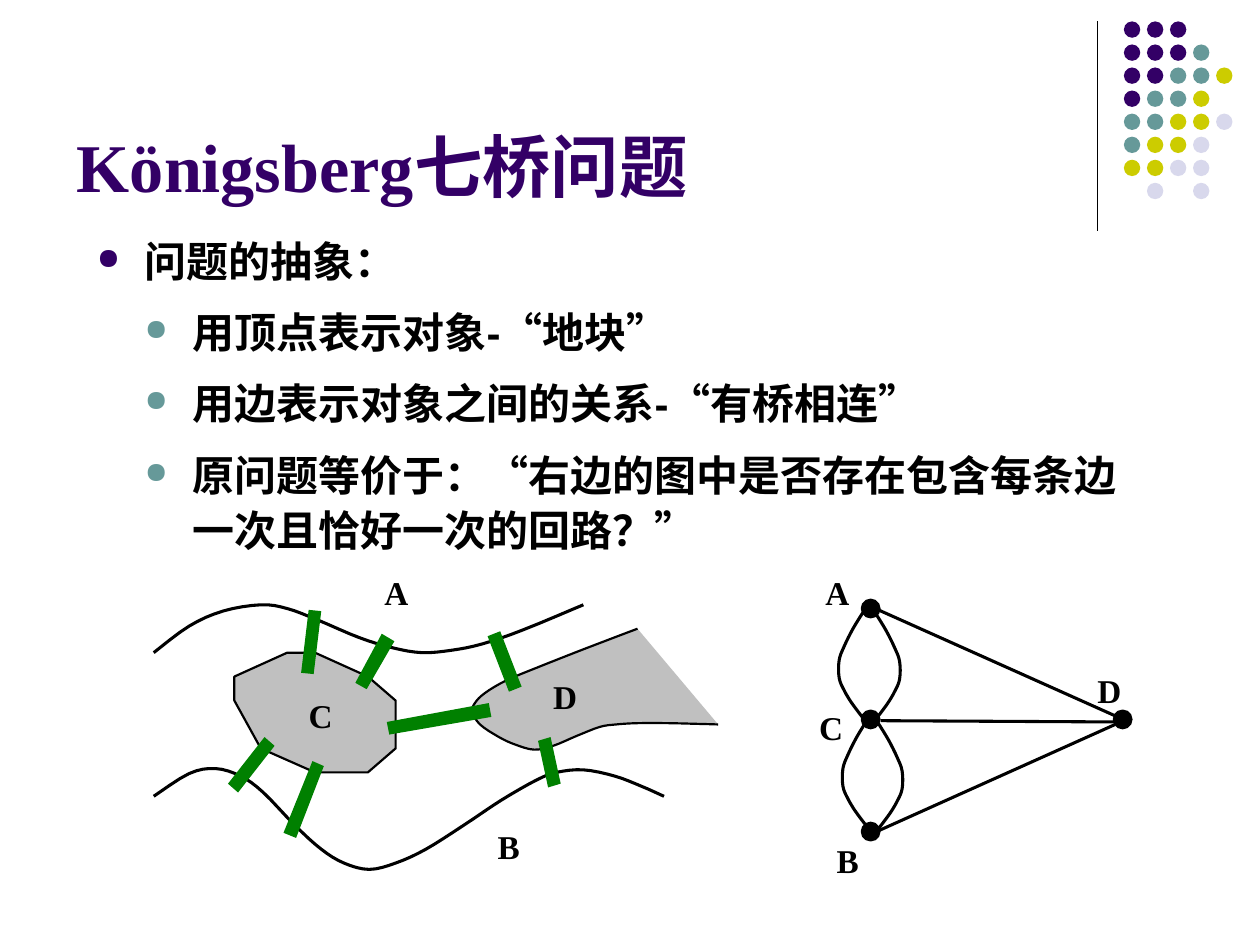
from typing import NamedTuple

from lxml.etree import SubElement
from pptx import Presentation
from pptx.dml.color import RGBColor
from pptx.enum.shapes import MSO_CONNECTOR, MSO_SHAPE
from pptx.enum.text import MSO_ANCHOR, MSO_AUTO_SIZE, PP_ALIGN
from pptx.oxml.ns import qn
from pptx.util import Cm, Pt

BLACK, GREY, GREEN = "000000", "C0C0C0", "008000"
PURPLE, TEAL = "330066", "669999"
DOTS = {"P": PURPLE, "T": TEAL, "Y": "CCCC00", "L": "D8D8EC"}
ROWS = ["PPP", "PPPT", "PPTTY", "PTTY", "TTYYL", "TYYL", "YYLL", " L L"]
SERIF = "Times New Roman"
Points = list[tuple[float, float]]


class Label(NamedTuple):
    text: str
    x: float
    y: float


class Item(NamedTuple):
    text: str
    level: int
    color: str


class Arc(NamedTuple):
    x: float
    y: float
    side: int


ITEMS = [
    Item("问题的抽象：", 0, PURPLE),
    Item("用顶点表示对象-“地块”", 1, TEAL),
    Item("用边表示对象之间的关系-“有桥相连”", 1, TEAL),
    Item("原问题等价于：“右边的图中是否存在包含每条边一次且恰好一次的回路？”", 1, TEAL),
]
LABELS = [
    Label("C", 2.45, 5.52), Label("D", 4.39, 5.37),
    Label("A", 3.05, 4.54), Label("B", 3.95, 6.56),
    Label("A", 6.55, 4.54), Label("C", 6.5, 5.61),
    Label("B", 6.64, 6.67), Label("D", 8.71, 5.32),
]
BANKS = [
    [(1.22, 5.18), (1.5, 4.97), (1.77, 4.85), (2.07, 4.8), (2.28, 4.83),
     (2.52, 4.92), (2.85, 5.06), (3.11, 5.14), (3.35, 5.18), (3.59, 5.16),
     (3.83, 5.11), (4.15, 5), (4.63, 4.8)],
    [(1.22, 6.32), (1.5, 6.14), (1.71, 6.1), (1.91, 6.16), (2.09, 6.29),
     (2.34, 6.55), (2.55, 6.74), (2.73, 6.85), (2.93, 6.9), (3.14, 6.85),
     (3.38, 6.74), (3.68, 6.55), (3.98, 6.35), (4.26, 6.19), (4.42, 6.13),
     (4.63, 6.11), (4.88, 6.16), (5.09, 6.24), (5.27, 6.32)],
]
CAPE = [(5.06, 4.99), (4.64, 5.15), (4.26, 5.3), (4.02, 5.4), (3.85, 5.5),
        (3.77, 5.58), (3.75, 5.65), (3.81, 5.75), (3.96, 5.85), (4.09, 5.91),
        (4.24, 5.95), (4.39, 5.92), (4.58, 5.84), (4.76, 5.77), (4.89, 5.75),
        (5.06, 5.74), (5.31, 5.74), (5.7, 5.75)]
ISLE = [(2.28, 5.18), (1.86, 5.37), (1.86, 5.56), (2.07, 5.94), (2.5, 6.13),
        (2.92, 6.13), (3.14, 5.94), (3.14, 5.56), (2.92, 5.37), (2.5, 5.18)]
BRIDGES = [
    [(2.55, 4.85), (2.45, 4.84), (2.39, 5.34), (2.49, 5.35)],
    [(3.13, 5.09), (3.03, 5.03), (2.82, 5.42), (2.91, 5.47)],
    [(2.18, 5.92), (2.1, 5.85), (1.81, 6.22), (1.89, 6.29)],
    [(2.57, 6.08), (2.48, 6.04), (2.25, 6.61), (2.35, 6.65)],
    [(3.97, 5.01), (3.87, 5.05), (4.04, 5.49), (4.14, 5.45)],
    [(4.37, 5.85), (4.27, 5.88), (4.35, 6.25), (4.45, 6.22)],
    [(3.07, 5.73), (3.09, 5.83), (3.9, 5.69), (3.88, 5.58)],
]
NODES = [(6.84, 4.76), (6.84, 5.64), (6.84, 6.53), (8.84, 5.64)]
EDGES = [(6.97, 4.84, 8.87, 5.69), (6.99, 5.72, 8.88, 5.73),
         (6.98, 6.59, 8.85, 5.75)]
ARCS = [Arc(6.85, 4.86, -1), Arc(6.88, 5.72, -1),
        Arc(6.95, 4.87, 1), Arc(6.97, 5.74, 1)]
BOW = [(0, 0), (0.08, 0.13), (0.15, 0.27), (0.19, 0.38), (0.19, 0.52),
       (0.15, 0.62), (0.09, 0.72), (0, 0.84)]


def inch(size: float) -> Cm:
    return Cm(size * 2.54)


def paint(color, value: str) -> None:
    color.rgb = RGBColor.from_string(value)


def apply(target, **values) -> None:
    for name, value in values.items():
        setattr(target, name, value)


def style(font, size: float, name: str, color: str) -> None:
    apply(font, size=Pt(size), name=name, bold=True)
    paint(font.color, color)


def finish(shape, fill: str | None, width: float) -> None:
    """Set fill and black outline; None or 0 leaves it out."""
    shape.shadow.inherit = False
    if fill:
        shape.fill.solid()
        paint(shape.fill.fore_color, fill)
    else:
        shape.fill.background()
    if width:
        paint(shape.line.color, BLACK)
        shape.line.width = Pt(width)
    else:
        shape.line.fill.background()


def smooth(knots: Points, steps: int = 4) -> Points:
    """Run a Catmull-Rom curve through the knots."""
    ends = [knots[0], *knots, knots[-1]]
    curve = [knots[0]]
    for a, b, c, d in zip(ends, ends[1:], ends[2:], ends[3:]):
        for step in range(1, steps + 1):
            t = step / steps
            curve.append(tuple(
                q + t * (r - p + t * (2 * p - 5 * q + 4 * r - s
                                      + t * (3 * q - p - 3 * r + s))) / 2
                for p, q, r, s in zip(a, b, c, d)))
    return curve


def trace(shapes, points: Points, fill: str | None = None,
          width: float = 0, close: bool = False) -> None:
    spots = [(inch(x), inch(y)) for x, y in points]
    pen = shapes.build_freeform(*spots[0])
    pen.add_line_segments(spots[1:], close=close)
    finish(pen.convert_to_shape(), fill, width)


def disc(shapes, x: float, y: float, size: float, fill: str,
         width: float = 0) -> None:
    box = map(inch, (x, y, size, size))
    finish(shapes.add_shape(MSO_SHAPE.OVAL, *box), fill, width)


def line(shapes, ends: tuple, width: float) -> None:
    link = shapes.add_connector(MSO_CONNECTOR.STRAIGHT, *map(inch, ends))
    paint(link.line.color, BLACK)
    link.line.width = Pt(width)
    SubElement(link._element.spPr, qn("a:effectLst"))


def mark(shapes, label: Label) -> None:
    box = shapes.add_textbox(*map(inch, (label.x, label.y, 0.19, 0.32)))
    apply(box.text_frame, margin_left=0, margin_right=0, margin_top=0,
          margin_bottom=0, word_wrap=False,
          auto_size=MSO_AUTO_SIZE.SHAPE_TO_FIT_TEXT, text=label.text)
    style(box.text_frame.paragraphs[0].font, 19, SERIF, BLACK)


def bullet(para, item: Item) -> None:
    props = para._p.get_or_add_pPr()
    props.set("marL", str(inch(0.38 * (item.level + 1))))
    props.set("indent", str(inch(-0.38)))
    SubElement(SubElement(props, qn("a:buClr")), qn("a:srgbClr"), val=item.color)
    SubElement(props, qn("a:buSzPct"), val="70000")
    SubElement(props, qn("a:buChar"), char="●")


def write(shapes) -> None:
    """Add the title and the bulleted list."""
    head = shapes.title
    apply(head, left=inch(0.51), top=inch(0.44), width=inch(8.5), height=inch(1.25))
    apply(head.text_frame, text="Königsberg七桥问题", word_wrap=True,
          vertical_anchor=MSO_ANCHOR.BOTTOM, auto_size=MSO_AUTO_SIZE.NONE)
    para = head.text_frame.paragraphs[0]
    para.alignment = PP_ALIGN.LEFT
    style(para.font, 39, SERIF, PURPLE)

    frame = shapes.add_textbox(*map(inch, (0.67, 1.78, 8.5, 2.76))).text_frame
    frame.word_wrap = True
    for n, item in enumerate(ITEMS):
        para = frame.add_paragraph() if n else frame.paragraphs[0]
        bullet(para, item)
        apply(para, text=item.text, level=item.level, line_spacing=1.1,
              space_before=Pt(9 if n else 0))
        style(para.font, 24, "Arial", BLACK)


def main() -> None:
    deck = Presentation()
    apply(deck, slide_width=inch(10), slide_height=inch(7.5))
    shapes = deck.slides.add_slide(deck.slide_layouts[5]).shapes

    line(shapes, (8.71, 0.17, 8.71, 1.83), 0.75)
    for r, row in enumerate(ROWS):
        for c, key in enumerate(row):
            if key in DOTS:
                disc(shapes, 8.92 + c * 0.183, 0.17 + r * 0.183, 0.13, DOTS[key])
    write(shapes)

    for bank in BANKS:
        trace(shapes, smooth(bank), width=1.75)
    shore = smooth(CAPE)
    trace(shapes, shore, GREY, close=True)
    trace(shapes, shore, width=1.25)
    trace(shapes, ISLE, GREY, 1.25, close=True)
    for bridge in BRIDGES:
        trace(shapes, bridge, GREEN, close=True)

    for x, y in NODES:
        disc(shapes, x, y, 0.14, BLACK, 1.25)
    for edge in EDGES:
        line(shapes, edge, 1.75)
    for arc in ARCS:
        knots = [(arc.x + arc.side * x, arc.y + y) for x, y in BOW]
        trace(shapes, smooth(knots), width=1.75)
    for label in LABELS:
        mark(shapes, label)
    deck.save("out.pptx")


if __name__ == "__main__":
    main()
